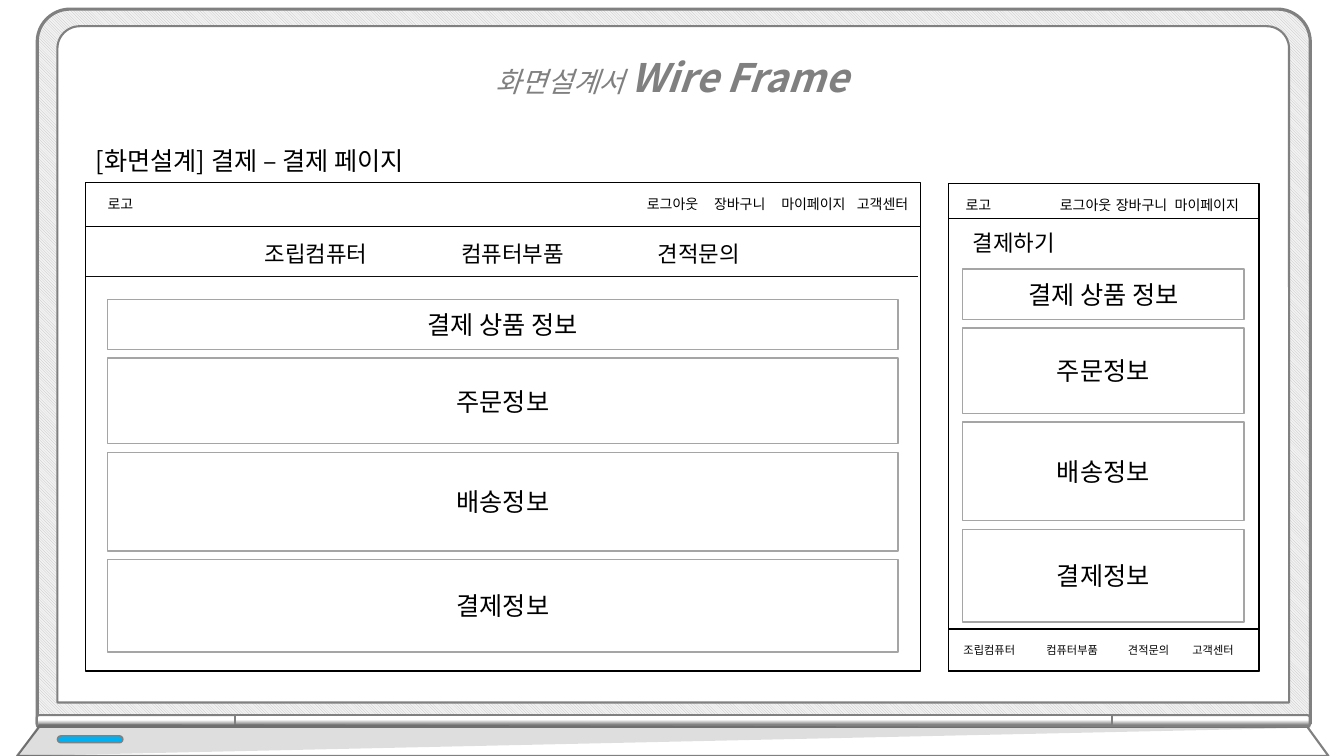
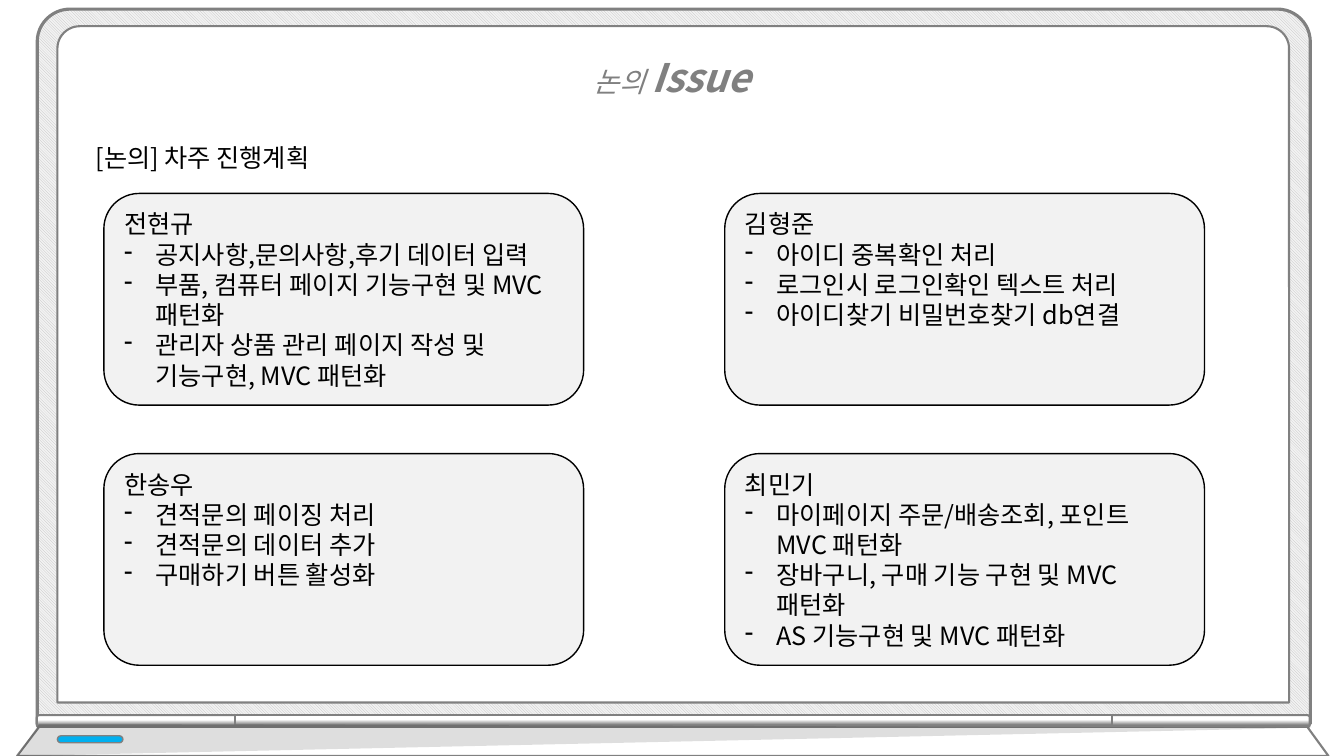
import dataclasses
import typing

import lxml.etree
import pptx
import pptx.dml.color
import pptx.enum.dml
import pptx.enum.shapes
import pptx.enum.text
import pptx.oxml.ns
import pptx.util

Pt = pptx.util.Pt
Preset = pptx.enum.shapes.MSO_SHAPE
Align = pptx.enum.text.PP_ALIGN
Anchor = pptx.enum.text.MSO_ANCHOR
qn = pptx.oxml.ns.qn


@dataclasses.dataclass(frozen=True)
class Theme:
    font: str = "Noto Sans CJK KR"
    black: str = "000000"
    white: str = "FFFFFF"
    grey: str = "808080"
    section_line: str = "A5A5A5"
    divider: str = "0D0D0D"
    panel: str = "F2F2F2"
    hatch: str = "BFBFBF"
    accent: str = "00B0F0"
    title_size: float = 28
    title_lead_size: float = 20
    body_size: float = 18
    menu_size: float = 16
    small_size: float = 10
    footer_size: float = 8


THEME = Theme()


class Box(typing.NamedTuple):
    left: float
    top: float
    width: float
    height: float


class Section(typing.NamedTuple):
    label: str
    height: float


class Hinge(typing.NamedTuple):
    box: Box
    rotation: float
    corner: float
    flipped: bool


class Row(typing.NamedTuple):
    labels: tuple[str, ...]
    box: Box
    stops: tuple[float, ...]
    size: float


class Plan(typing.NamedTuple):
    member: str
    tasks: tuple[str, ...]


TITLE_BOX = Box(264, 18, 432, 58)
SCREEN_TOP, SCREEN_HEIGHT = 131, 348.5
WEB = Box(61.2, SCREEN_TOP, 596.2, SCREEN_HEIGHT)
MOBILE = Box(677.5, SCREEN_TOP, 221.8, SCREEN_HEIGHT)
SECTION_GAP = 6
SECTIONS = (
    Section("결제 상품 정보", 36),
    Section("주문정보", 61.2),
    Section("배송정보", 70.6),
    Section("결제정보", 66.2),
)
HINGES = (
    Hinge(Box(92.9, 444.2, 8.6, 141.8), 270, 0.193, False),
    Hinge(Box(860.4, 444.2, 8.6, 141.8), 90, 0.193, True),
    Hinge(Box(476.6, 201.6, 8.6, 626.4), 270, 0, False),
)
ROWS = (
    Row(("로고",), Box(69.8, 136.1, 173.5, 19.4), (), THEME.small_size),
    Row(("로그아웃", "장바구니", "마이페이지", "고객센터"),
        Box(455, 136.1, 201, 19.4), (48, 96, 150), THEME.small_size),
    Row(("조립컴퓨터", "컴퓨터부품", "견적문의"),
        Box(182, 167.8, 400, 26.6), (140.4, 280.8), THEME.menu_size),
    Row(("로고",), Box(682.6, 136.8, 37.4, 19.4), (), THEME.small_size),
    Row(("로그아웃", "장바구니", "마이페이지"),
        Box(750, 136.8, 148, 19.4), (40, 82), THEME.small_size),
    Row(("조립컴퓨터", "컴퓨터부품", "견적문의", "고객센터"),
        Box(681.1, 455.8, 218, 17.3), (59.2, 117.5, 163.5), THEME.footer_size),
)
PLANS = (
    Plan("전현규", ("공지사항,문의사항,후기 데이터 입력",
                 "부품, 컴퓨터 페이지 기능구현 및 MVC 패턴화",
                 "관리자 상품 관리 페이지 작성 및 기능구현, MVC 패턴화")),
    Plan("김형준", ("아이디 중복확인 처리",
                 "로그인시 로그인확인 텍스트 처리",
                 "아이디찾기 비밀번호찾기 db연결")),
    Plan("한송우", ("견적문의 페이징 처리",
                 "견적문의 데이터 추가",
                 "구매하기 버튼 활성화")),
    Plan("최민기", ("마이페이지 주문/배송조회, 포인트 MVC 패턴화",
                 "장바구니, 구매 기능 구현 및 MVC 패턴화",
                 "AS 기능구현 및 MVC 패턴화")),
)


def rgb(value: str) -> pptx.dml.color.RGBColor:
    return pptx.dml.color.RGBColor.from_string(value)


def apply(target, values: dict) -> None:
    for name, value in values.items():
        setattr(target, name, value)


def points(box: Box) -> list:
    return [Pt(value) for value in box]


def add_run(paragraph, text: str, size: float, color: str = THEME.black, **style) -> None:
    run = paragraph.add_run()
    run.text = text
    apply(run.font, {"size": Pt(size), "name": THEME.font, **style})
    run.font.color.rgb = rgb(color)
    east_asian = lxml.etree.SubElement(run.font._element, qn("a:ea"))
    east_asian.set("typeface", THEME.font)


def style_line(shape, color: str | None, width: float) -> None:
    if color is None:
        shape.line.fill.background()
        return
    shape.line.color.rgb = rgb(color)
    shape.line.width = Pt(width)


def add_panel(shapes, box: Box, preset=Preset.RECTANGLE, fill: str = THEME.white,
              line: str | None = THEME.black, width: float = 1,
              corner: float | None = None):
    shape = shapes.add_shape(preset, *points(box))
    shape.shadow.inherit = False
    shape.fill.solid()
    shape.fill.fore_color.rgb = rgb(fill)
    style_line(shape, line, width)
    if corner is not None:
        shape.adjustments[0] = corner
    return shape


def write_label(shape, text: str, size: float, alignment=Align.LEFT,
                anchor=Anchor.MIDDLE) -> None:
    apply(shape.text_frame, {"word_wrap": True, "vertical_anchor": anchor})
    paragraph = shape.text_frame.paragraphs[0]
    paragraph.alignment = alignment
    add_run(paragraph, text, size)


def add_row(slide, row: Row) -> None:
    shape = slide.shapes.add_textbox(*points(row.box))
    properties = shape.text_frame.paragraphs[0]._p.get_or_add_pPr()
    if row.stops:
        tabs = lxml.etree.SubElement(properties, qn("a:tabLst"))
        for stop in row.stops:
            lxml.etree.SubElement(tabs, qn("a:tab"), pos=str(int(Pt(stop))), algn="l")
    write_label(shape, "\t".join(row.labels), row.size, anchor=Anchor.TOP)


def add_divider(slide, left: float, right: float, top: float, color: str) -> None:
    connector = slide.shapes.add_connector(
        pptx.enum.shapes.MSO_CONNECTOR.STRAIGHT, Pt(left), Pt(top), Pt(right), Pt(top))
    style_line(connector, color, 0.5)
    lxml.etree.SubElement(connector._element.spPr, qn("a:effectLst"))


def add_outline(shapes, corners: list[tuple[float, float]], fill: str, line: str | None):
    vertices = [(Pt(x), Pt(y)) for x, y in corners]
    builder = shapes.build_freeform(*vertices[0], scale=1.0)
    builder.add_line_segments(vertices[1:], close=True)
    shape = builder.convert_to_shape()
    shape.shadow.inherit = False
    shape.fill.solid()
    shape.fill.fore_color.rgb = rgb(fill)
    style_line(shape, line, 1.5)
    return shape


def add_hinge(shapes, hinge: Hinge) -> None:
    shape = add_panel(shapes, hinge.box, Preset.ROUND_2_SAME_RECTANGLE,
                      line=THEME.grey, width=1.5, corner=hinge.corner)
    shape.rotation = hinge.rotation
    if hinge.flipped:
        shape._element.spPr.xfrm.set("flipH", "1")
    shape.fill.gradient()
    shape.fill.gradient_angle = 0
    stops = ((0.17, THEME.grey), (0.59, THEME.white))
    for stop, (position, color) in zip(shape.fill.gradient_stops, stops):
        stop.position = position
        stop.color.rgb = rgb(color)


def add_laptop(slide) -> None:
    shapes = slide.shapes.add_group_shape().shapes
    lid = add_panel(shapes, Box(26.6, 6.5, 909.4, 510.5), Preset.ROUND_2_SAME_RECTANGLE,
                    line=THEME.grey, width=2.25, corner=0.046)
    lid.fill.patterned()
    lid.fill.pattern = pptx.enum.dml.MSO_PATTERN.LIGHT_DOWNWARD_DIAGONAL
    lid.fill.fore_color.rgb = rgb(THEME.hatch)
    lid.fill.back_color.rgb = rgb(THEME.panel)
    add_panel(shapes, Box(41, 18.7, 879.8, 483.1), Preset.ROUND_2_SAME_RECTANGLE,
              line=THEME.grey, width=1.5, corner=0.033)
    for hinge in HINGES:
        add_hinge(shapes, hinge)
    add_outline(shapes, [(28.1, 519.1), (933.8, 519.1), (949, 540), (12.2, 540)],
                THEME.white, THEME.grey)
    shade = add_outline(shapes, [(28.1, 517), (12.2, 540), (937.4, 519.8)],
                        THEME.black, None)
    color = shade._element.spPr.find(qn("a:solidFill")).find(qn("a:srgbClr"))
    lxml.etree.SubElement(color, qn("a:alpha"), val="13000")
    add_panel(shapes, Box(41, 525.6, 46.8, 5), Preset.ROUNDED_RECTANGLE,
              fill=THEME.accent, line=THEME.grey, corner=0.5)


def add_base_slide(presentation, lead: str, topic: str):
    slide = presentation.slides.add_slide(
        presentation.slide_layouts.get_by_name("Title Only"))
    add_laptop(slide)
    title = slide.shapes.title
    title.element.getparent().append(title.element)
    apply(title, dict(zip(("left", "top", "width", "height"), points(TITLE_BOX))))
    apply(title.text_frame, {
        "vertical_anchor": Anchor.TOP,
        "word_wrap": True,
        "auto_size": pptx.enum.text.MSO_AUTO_SIZE.NONE,
    })
    paragraph = title.text_frame.paragraphs[0]
    apply(paragraph, {"alignment": Align.CENTER, "line_spacing": 1.5})
    add_run(paragraph, f"{lead} ", THEME.title_lead_size, THEME.grey, italic=True)
    add_run(paragraph, topic, THEME.title_size, THEME.grey, italic=True, bold=True)
    return slide


def add_sections(slide, left: float, top: float, width: float) -> None:
    for section in SECTIONS:
        shape = add_panel(slide.shapes, Box(left, top, width, section.height),
                          line=THEME.section_line)
        write_label(shape, section.label, THEME.body_size, Align.CENTER)
        top += section.height + SECTION_GAP


def build_wireframe(presentation) -> None:
    slide = add_base_slide(presentation, "화면설계서", "Wire Frame")
    for screen in (WEB, MOBILE):
        add_panel(slide.shapes, screen)
    heading = add_panel(slide.shapes, Box(WEB.left, 98.6, WEB.width, 31.7), line=None)
    write_label(heading, "[화면설계] 결제 – 결제 페이지", THEME.body_size)
    add_panel(slide.shapes, Box(WEB.left, 130.3, WEB.width, 31.7))
    add_divider(slide, WEB.left, 656, 197.3, THEME.divider)
    add_sections(slide, 77, 213.8, 564.5)
    add_sections(slide, 687.6, 192.2, 200.9)
    add_divider(slide, MOBILE.left, MOBILE.left + MOBILE.width, 156.2, THEME.black)
    add_panel(slide.shapes, Box(MOBILE.left, 449.3, MOBILE.width, 29.9))
    checkout = add_panel(slide.shapes, Box(687.6, 157.7, 83.5, 31.7), line=None)
    write_label(checkout, "결제하기", THEME.menu_size)
    for row in ROWS:
        add_row(slide, row)


def add_plan(slide, plan: Plan, box: Box) -> None:
    shape = add_panel(slide.shapes, box, Preset.ROUNDED_RECTANGLE, THEME.panel)
    write_label(shape, plan.member, THEME.body_size, anchor=Anchor.TOP)
    for task in plan.tasks:
        paragraph = shape.text_frame.add_paragraph()
        paragraph.alignment = Align.LEFT
        properties = paragraph._p.get_or_add_pPr()
        indent = int(Pt(22.5))
        properties.set("marL", str(indent))
        properties.set("indent", str(-indent))
        lxml.etree.SubElement(properties, qn("a:buChar"), char="-")
        add_run(paragraph, task, THEME.body_size)


def build_issues(presentation) -> None:
    slide = add_base_slide(presentation, "논의", "Issue")
    for index, plan in enumerate(PLANS):
        row, column = divmod(index, 2)
        add_plan(slide, plan, Box(74.2 + column * 443.5, 138.2 + row * 185.8, 342.7, 151.2))
    heading = slide.shapes.add_textbox(*points(Box(WEB.left, 97.9, 328.3, 28.8)))
    write_label(heading, "[논의] 차주 진행계획", THEME.body_size)


def main() -> None:
    presentation = pptx.Presentation()
    apply(presentation, {"slide_width": Pt(960), "slide_height": Pt(540)})
    build_wireframe(presentation)
    build_issues(presentation)
    presentation.save("out.pptx")


if __name__ == "__main__":
    main()
